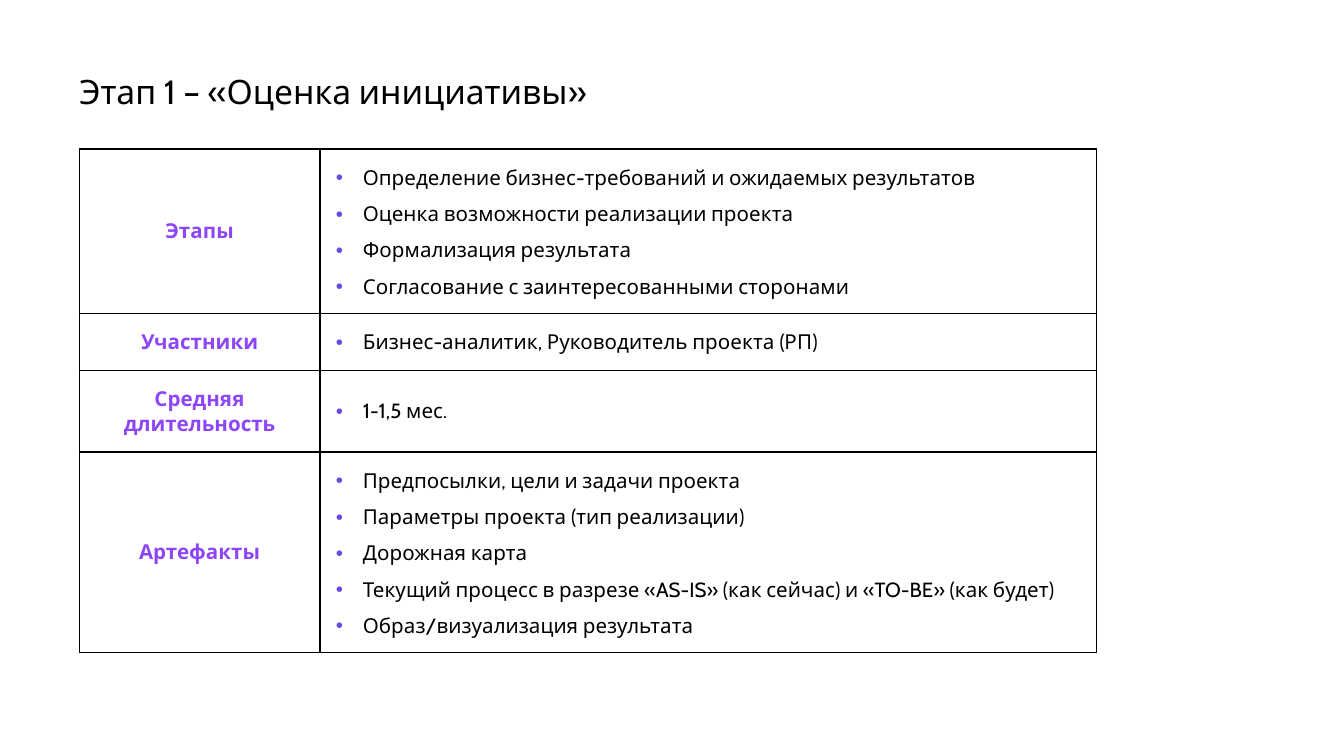
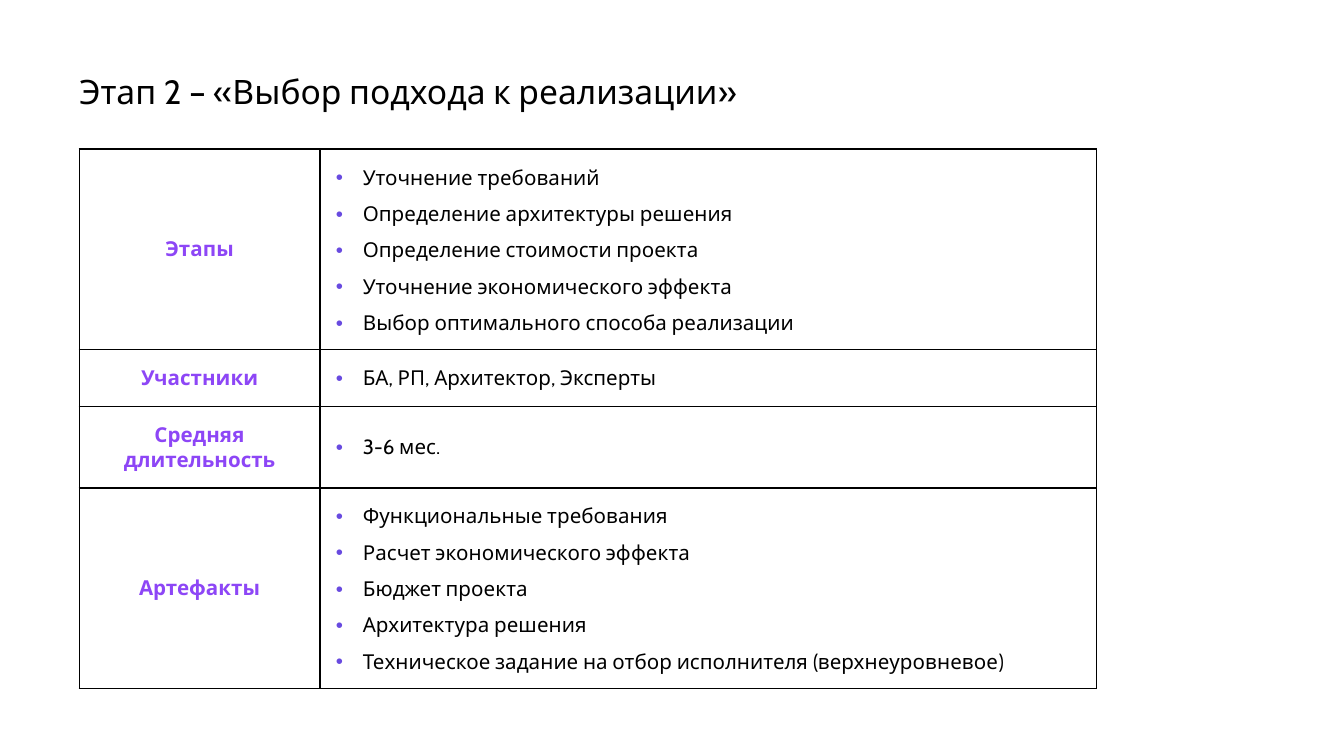
import pptx
import pptx.util
import pptx.dml.color
import pptx.enum.text
import pptx.oxml
import pptx.oxml.ns

Inches = pptx.util.Inches
Pt = pptx.util.Pt
FONT = "Cabin"
COLORS = {"text": "000000", "label": "8D46F6", "dot": "684AE0", "line": "000000"}
WIDTH = 10
HEIGHT = WIDTH * 9 / 16
TITLE = (0.59, 0.52, 6.52, 0.31)
GRID = (0.59, 1.11)
COLS = (1.79, 5.78)
INSET = 0.12
DENT = 0.2
STEP = 0.27
LABELS = ["Этапы", "Участники", "Средняя длительность", "Артефакты"]
LOWEST = [0, 0, 0.6, 0]

STAGES = [
    ("Этап 1 – «Оценка инициативы»", [
        ["Определение бизнес-требований и ожидаемых результатов",
         "Оценка возможности реализации проекта",
         "Формализация результата",
         "Согласование с заинтересованными сторонами"],
        ["Бизнес-аналитик, Руководитель проекта (РП)"],
        ["1-1,5 мес."],
        ["Предпосылки, цели и задачи проекта",
         "Параметры проекта (тип реализации)",
         "Дорожная карта",
         "Текущий процесс в разрезе «AS-IS» (как сейчас) и «TO-BE» (как будет)",
         "Образ/визуализация результата"],
    ]),
    ("Этап 2 – «Выбор подхода к реализации»", [
        ["Уточнение требований",
         "Определение архитектуры решения",
         "Определение стоимости проекта",
         "Уточнение экономического эффекта",
         "Выбор оптимального способа реализации"],
        ["БА, РП, Архитектор, Эксперты"],
        ["3-6 мес."],
        ["Функциональные требования",
         "Расчет экономического эффекта",
         "Бюджет проекта",
         "Архитектура решения",
         "Техническое задание на отбор исполнителя (верхнеуровневое)"],
    ]),
]


def add_node(parent, xml):
    tag, rest = xml.split(" ", 1)
    space = pptx.oxml.ns.nsdecls("a")
    parent.append(pptx.oxml.parse_xml(f"<a:{tag} {space} {rest}"))


def set_font(para, size, color, bold=False):
    para.font.name = FONT
    para.font.size = Pt(size)
    para.font.bold = bold
    para.font.color.rgb = pptx.dml.color.RGBColor.from_string(COLORS[color])


def add_title(slide, box, text):
    shape = slide.shapes.add_textbox(*map(Inches, box))
    frame = shape.text_frame
    frame.word_wrap = True
    frame.auto_size = pptx.enum.text.MSO_AUTO_SIZE.SHAPE_TO_FIT_TEXT
    frame.margin_left = frame.margin_right = frame.margin_bottom = 0
    frame.margin_top = Inches(0.01)
    frame.text = text
    set_font(frame.paragraphs[0], 18, "text")


def style_cell(cell):
    props = cell._tc.get_or_add_tcPr()
    for side in "LRTB":
        add_node(props, f'ln{side} w="{Pt(1)}"><a:solidFill><a:srgbClr val="{COLORS["line"]}"/>'
                        f'</a:solidFill></a:ln{side}>')
    cell.fill.background()
    cell.vertical_anchor = pptx.enum.text.MSO_ANCHOR.MIDDLE
    cell.margin_left = cell.margin_right = Inches(INSET)
    cell.margin_top = cell.margin_bottom = Inches(INSET)


def fill_label(cell, text):
    style_cell(cell)
    cell.text = text
    para = cell.text_frame.paragraphs[0]
    para.alignment = pptx.enum.text.PP_ALIGN.CENTER
    set_font(para, 11, "label", True)


def fill_list(cell, items):
    style_cell(cell)
    cell.text = "\n".join(items)
    for i, para in enumerate(cell.text_frame.paragraphs):
        props = para._p.get_or_add_pPr()
        props.set("marL", str(Inches(DENT)))
        props.set("indent", str(-Inches(DENT)))
        add_node(props, f'buClr ><a:srgbClr val="{COLORS["dot"]}"/></a:buClr>')
        add_node(props, 'buFont typeface="Arial"/>')
        add_node(props, 'buChar char="•"/>')
        if i:
            para.space_before = Pt(6)
        set_font(para, 11, "text")


def add_grid(slide, spot, lists):
    tall = [max(low, 0.14 + STEP * len(items)) for low, items in zip(LOWEST, lists)]
    box = (*spot, sum(COLS), sum(tall))
    table = slide.shapes.add_table(len(lists), len(COLS), *map(Inches, box)).table
    table.first_row = table.horz_banding = False
    for col, width in zip(table.columns, COLS):
        col.width = Inches(width)
    for i, (label, items) in enumerate(zip(LABELS, lists)):
        table.rows[i].height = Inches(tall[i])
        fill_label(table.cell(i, 0), label)
        fill_list(table.cell(i, 1), items)


def main():
    deck = pptx.Presentation()
    deck.slide_width, deck.slide_height = Inches(WIDTH), Inches(HEIGHT)
    for title, lists in STAGES:
        slide = deck.slides.add_slide(deck.slide_layouts[6])
        add_title(slide, TITLE, title)
        add_grid(slide, GRID, lists)
    deck.save("out.pptx")


if __name__ == "__main__":
    main()
